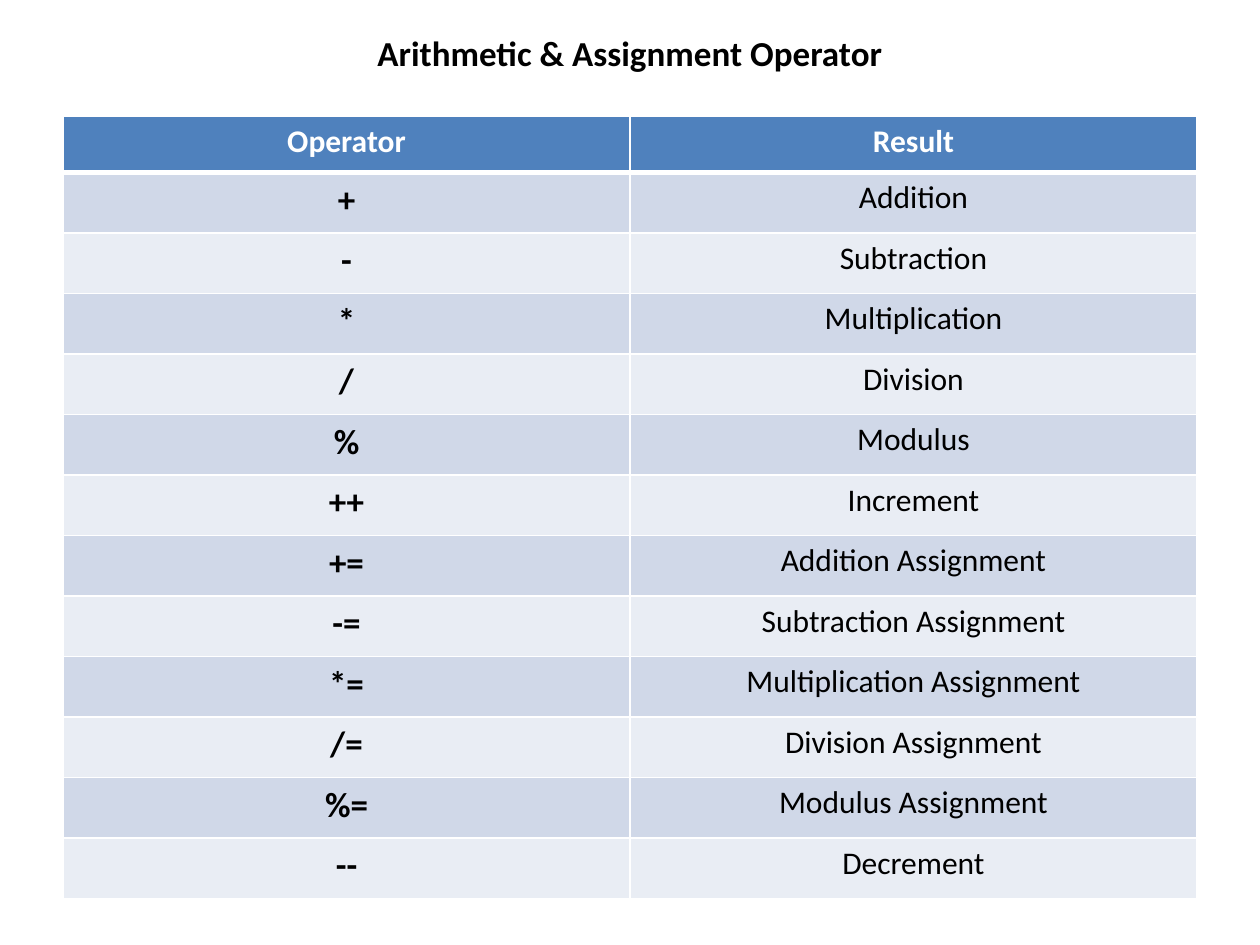
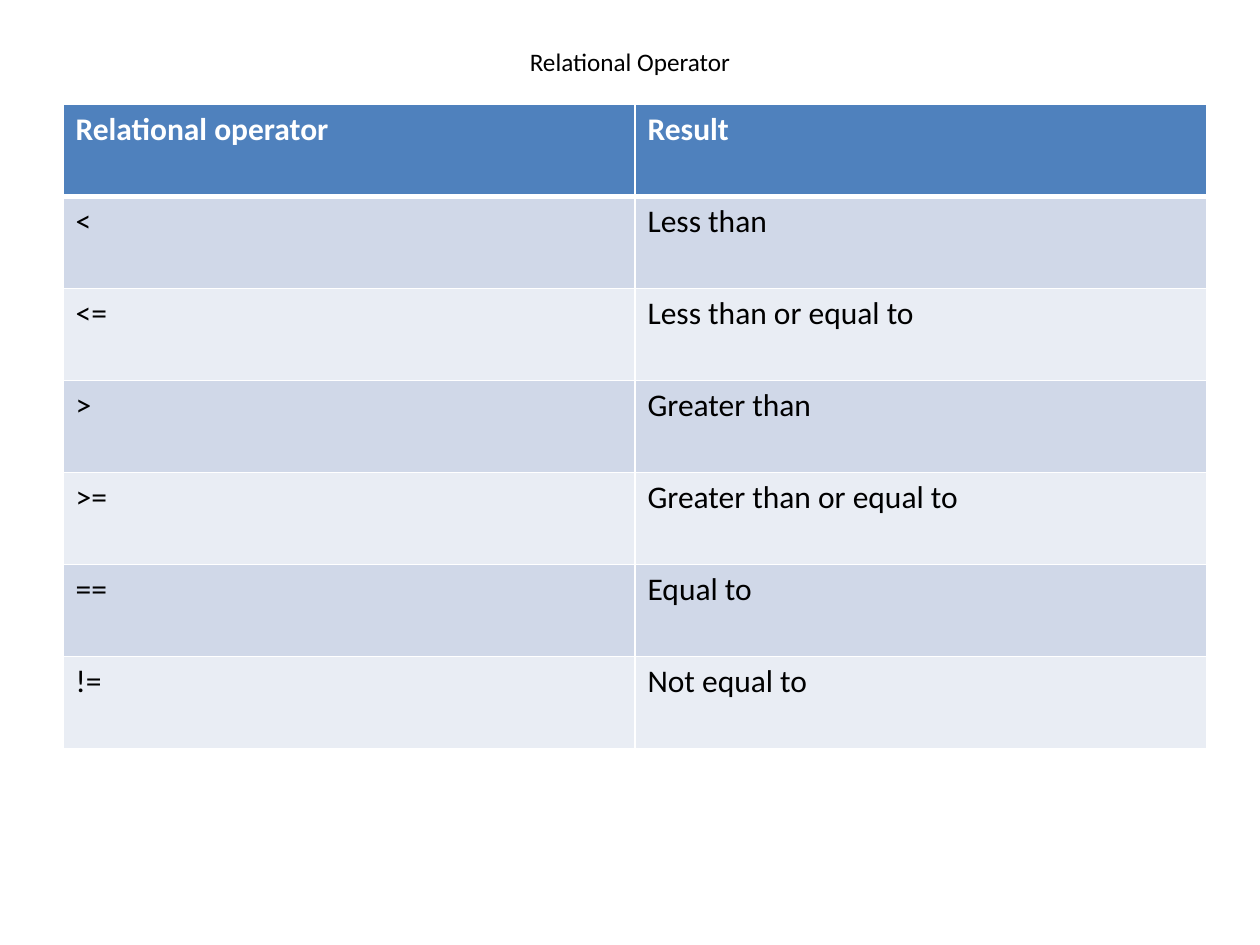
from lxml import etree
from pptx import Presentation
from pptx.dml.color import RGBColor
from pptx.enum.text import MSO_ANCHOR, PP_ALIGN
from pptx.oxml.ns import qn
from pptx.util import Inches, Pt

CENTER, LEFT = PP_ALIGN.CENTER, PP_ALIGN.LEFT
MIDDLE = MSO_ANCHOR.MIDDLE

FONT = "Calibri"
BLACK, WHITE = "000000", "FFFFFF"
HEADER_FILL = "4F81BD"
BAND_FILLS = ["D0D8E8", "E9EDF4"]
MARGIN = 0.5
TITLE_WIDTH = 9
BODY_SIZE = 18
THIN, THICK = 1, 3

OPERATOR_SLIDES = [
    {
        "title": "Arithmetic & Assignment Operator",
        "title_top": 0.17, "title_height": 0.5,
        "title_size": 20, "title_bold": True,
        "table_top": 0.92, "column_width": 4.5,
        "header_height": 0.45, "row_height": 0.48,
        "alignment": CENTER, "symbol_size": 20, "symbol_bold": True,
        "rows": [
            ("Operator", "Result"),
            ("+", "Addition"),
            ("-", "Subtraction"),
            ("*", "Multiplication"),
            ("/", "Division"),
            ("%", "Modulus"),
            ("++", "Increment"),
            ("+=", "Addition Assignment"),
            ("-=", "Subtraction Assignment"),
            ("*=", "Multiplication Assignment"),
            ("/=", "Division Assignment"),
            ("%=", "Modulus Assignment"),
            ("--", "Decrement"),
        ],
    },
    {
        "title": "Relational Operator",
        "title_top": 0.3, "title_height": 0.37,
        "title_size": 14.4, "title_bold": False,
        "table_top": 0.83, "column_width": 4.54,
        "header_height": 0.73, "row_height": 0.73,
        "alignment": LEFT, "symbol_size": BODY_SIZE, "symbol_bold": False,
        "rows": [
            ("Relational operator", "Result"),
            ("<", "Less than"),
            ("<=", "Less than or equal to"),
            (">", "Greater than"),
            (">=", "Greater than or equal to"),
            ("==", "Equal to"),
            ("!=", "Not equal to"),
        ],
    },
]


def write_text(text_frame, text, size, color, bold, alignment):
    """Write one run into the first paragraph of a text frame."""
    paragraph = text_frame.paragraphs[0]
    paragraph.alignment = alignment
    run = paragraph.add_run()
    run.text = text
    run.font.name = FONT
    run.font.size = Pt(size)
    run.font.bold = bold
    run.font.color.rgb = RGBColor.from_string(color)


def style_cell(cell, fill, top_width, bottom_width):
    """Give a cell its fill and white borders; widths are in points."""
    properties = cell._tc.get_or_add_tcPr()
    borders = {"a:lnL": THIN, "a:lnR": THIN, "a:lnT": top_width, "a:lnB": bottom_width}
    for tag, width in borders.items():
        line = etree.SubElement(properties, qn(tag), w=str(Pt(width)))
        line_fill = etree.SubElement(line, qn("a:solidFill"))
        etree.SubElement(line_fill, qn("a:srgbClr"), val=WHITE)
    cell.fill.solid()
    cell.fill.fore_color.rgb = RGBColor.from_string(fill)


presentation = Presentation()
presentation.slide_width = Inches(10)
presentation.slide_height = Inches(7.5)
blank_layout = presentation.slide_layouts[6]

for content in OPERATOR_SLIDES:
    slide = presentation.slides.add_slide(blank_layout)

    title = slide.shapes.add_textbox(
        Inches(MARGIN), Inches(content["title_top"]),
        Inches(TITLE_WIDTH), Inches(content["title_height"]))
    title.text_frame.word_wrap = True
    title.text_frame.vertical_anchor = MIDDLE
    write_text(title.text_frame, content["title"], content["title_size"],
               BLACK, content["title_bold"], CENTER)

    rows = content["rows"]
    table_height = content["header_height"] + content["row_height"] * (len(rows) - 1)
    table = slide.shapes.add_table(
        len(rows), 2, Inches(MARGIN), Inches(content["table_top"]),
        Inches(2 * content["column_width"]), Inches(table_height)).table
    for column in table.columns:
        column.width = Inches(content["column_width"])

    for row_index, row_texts in enumerate(rows):
        is_header = row_index == 0
        height = content["header_height"] if is_header else content["row_height"]
        table.rows[row_index].height = Inches(height)
        fill = HEADER_FILL if is_header else BAND_FILLS[(row_index - 1) % 2]
        color = WHITE if is_header else BLACK
        top_width = THICK if row_index == 1 else THIN
        bottom_width = THICK if is_header else THIN

        for column_index, text in enumerate(row_texts):
            is_symbol = column_index == 0 and not is_header
            size = content["symbol_size"] if is_symbol else BODY_SIZE
            bold = content["symbol_bold"] if is_symbol else is_header
            cell = table.cell(row_index, column_index)
            style_cell(cell, fill, top_width, bottom_width)
            write_text(cell.text_frame, text, size, color, bold, content["alignment"])

presentation.save("out.pptx")
